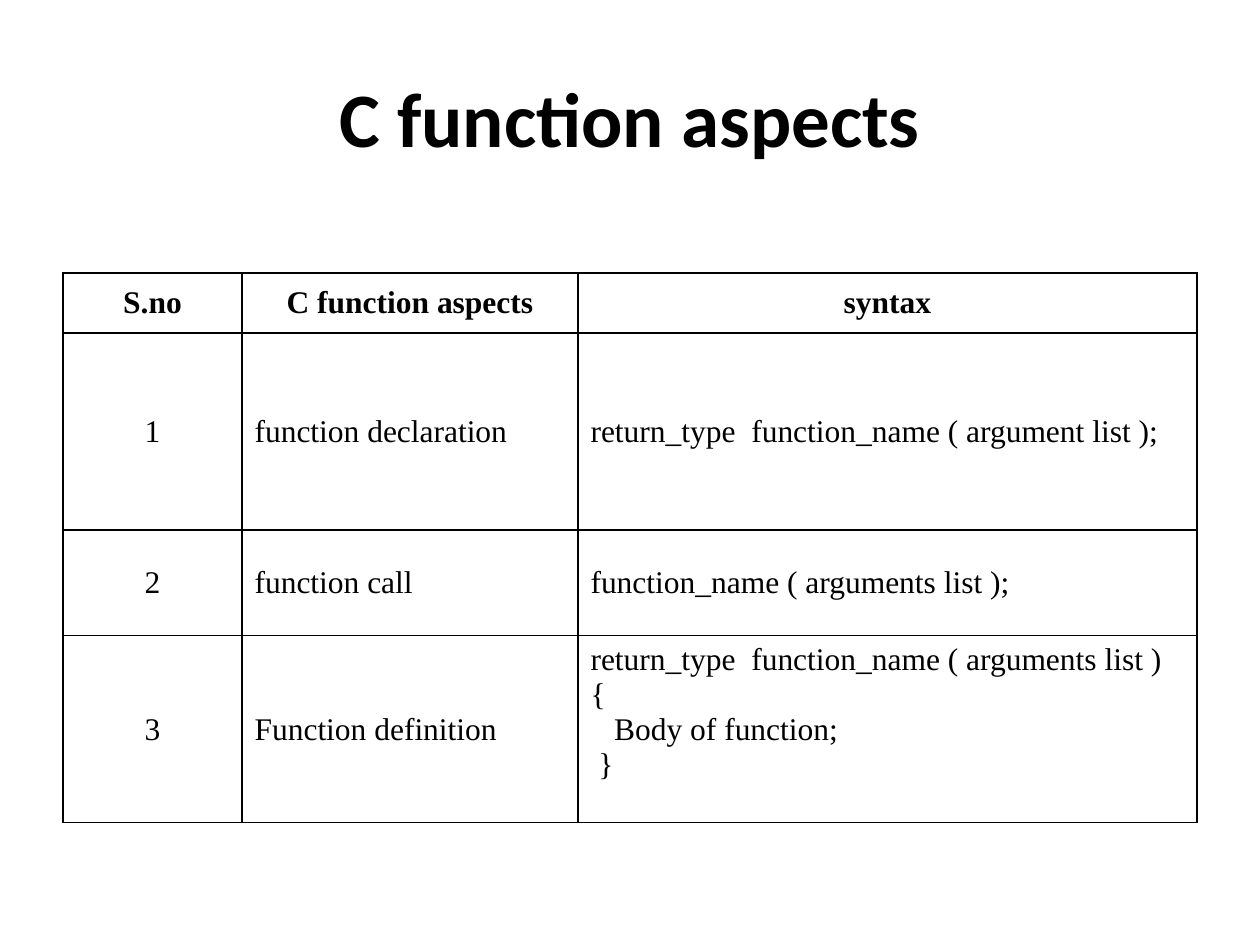
import pptx
import pptx.util
import pptx.dml.color
import pptx.enum.text
import pptx.oxml

SCALE = 914400 // 126
COLORS = {"ink": "000000", "paper": "FFFFFF"}
ALIGN = pptx.enum.text.PP_ALIGN
MIDDLE = pptx.enum.text.MSO_ANCHOR.MIDDLE

COLS = [179, 336, 619]
ROWS = [60, 197, 106, 187]
CELLS = [
    ["S.no", "C function aspects", "syntax"],
    ["1", "function declaration", "return_type  function_name ( argument list );"],
    ["2", "function call", "function_name ( arguments list );"],
    ["3", "Function definition",
     "return_type  function_name ( arguments list )\v{\n   Body of function;\n }"],
]


def px(n):
    return pptx.util.Emu(n * SCALE)


def rgb(name):
    return pptx.dml.color.RGBColor.from_string(COLORS[name])


def write(frame, text, font="Times New Roman", size=18, bold=False,
          color="ink", align=ALIGN.LEFT):
    frame.text = text
    for para in frame.paragraphs:
        para.alignment = align
        for run in para.runs:
            run.font.name = font
            run.font.size = pptx.util.Pt(size)
            run.font.bold = bold
            run.font.color.rgb = rgb(color)


def edge(cell, width=0.75):
    """Draw a solid line on all four sides of a cell."""
    props = cell._tc.get_or_add_tcPr()
    for spot, side in enumerate(("lnL", "lnR", "lnT", "lnB")):
        line = pptx.oxml.parse_xml(
            '<a:%s xmlns:a="http://schemas.openxmlformats.org/drawingml/2006/main"'
            ' w="%d"><a:solidFill><a:srgbClr val="%s"/></a:solidFill></a:%s>'
            % (side, pptx.util.Pt(width), COLORS["ink"], side))
        props.insert(spot, line)


def add_title(slide, x, y, w, h):
    title = slide.shapes.title
    title.left, title.top, title.width, title.height = map(px, (x, y, w, h))
    title.text_frame.vertical_anchor = MIDDLE
    write(title.text_frame, "C function aspects", font="Calibri", size=44,
          bold=True, align=ALIGN.CENTER)


def add_grid(slide, x, y):
    shape = slide.shapes.add_table(len(ROWS), len(COLS), px(x), px(y),
                                   px(sum(COLS)), px(sum(ROWS)))
    table = shape.table
    table.first_row = table.horz_banding = False
    for col, wide in zip(table.columns, COLS):
        col.width = px(wide)
    for row, high in zip(table.rows, ROWS):
        row.height = px(high)
    for r, texts in enumerate(CELLS):
        for c, text in enumerate(texts):
            cell = table.cell(r, c)
            head = r == 0
            write(cell.text_frame, text, bold=head,
                  align=ALIGN.CENTER if head or c == 0 else ALIGN.LEFT)
            cell.vertical_anchor = MIDDLE
            cell.fill.solid()
            cell.fill.fore_color.rgb = rgb("paper")
            edge(cell)
    # The code block sits one text line above the middle of its row.
    table.cell(3, 2).margin_bottom = px(41)


def main():
    deck = pptx.Presentation()
    deck.slide_width, deck.slide_height = px(1260), px(945)
    slide = deck.slides.add_slide(deck.slide_layouts[5])
    add_title(slide, 63, 38, 1134, 158)
    add_grid(slide, 63, 273)
    deck.save("out.pptx")


if __name__ == "__main__":
    main()
